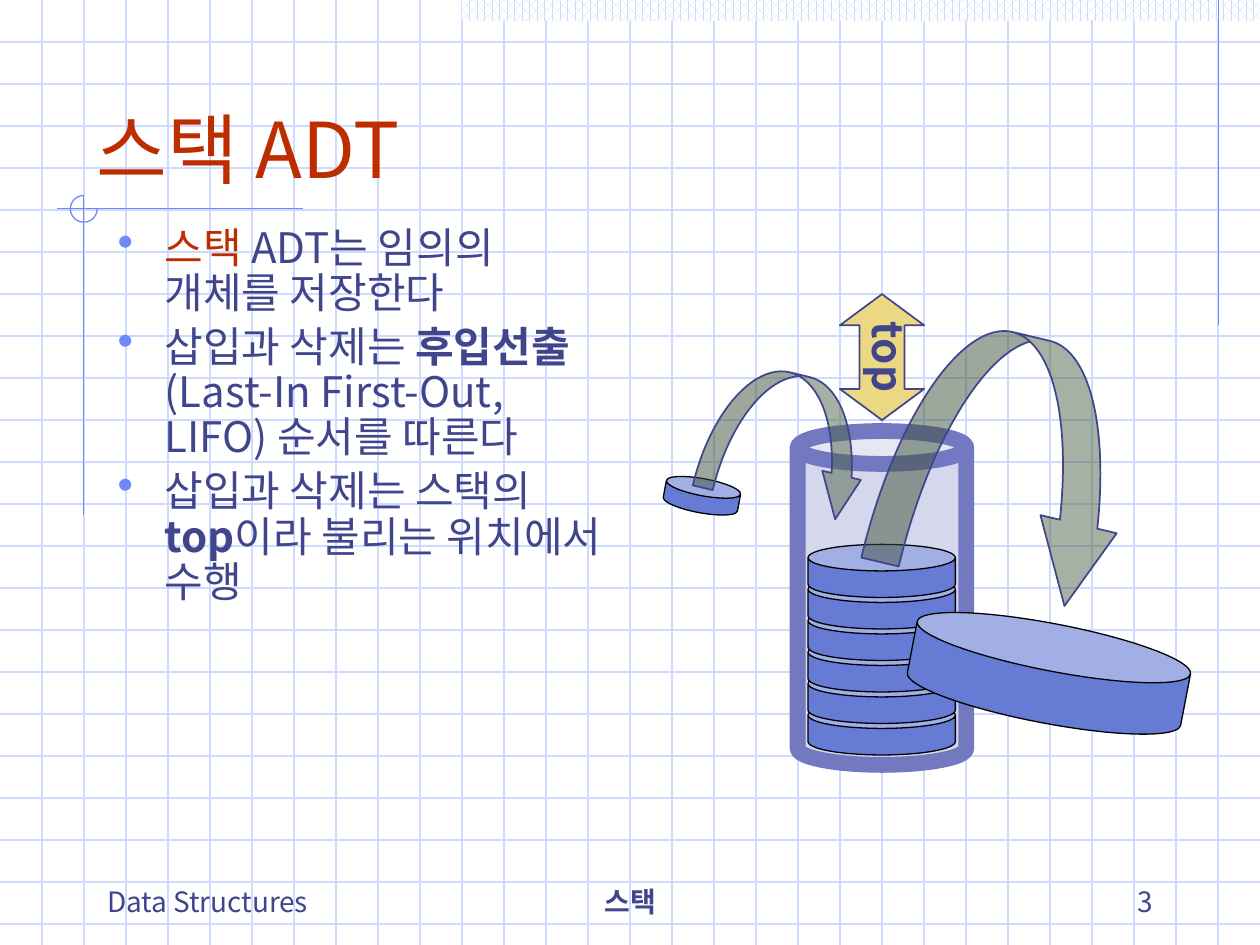
import dataclasses

import lxml.etree
import pptx
import pptx.dml.color
import pptx.enum.dml
import pptx.enum.shapes
import pptx.enum.text
import pptx.oxml.ns
import pptx.util

Cm, Pt = pptx.util.Cm, pptx.util.Pt
ALIGN = pptx.enum.text.PP_ALIGN
ANCHOR = pptx.enum.text.MSO_ANCHOR
SHAPE = pptx.enum.shapes.MSO_SHAPE


@dataclasses.dataclass(frozen=True)
class Theme:
    """Colours, type sizes and line widths of the deck."""
    font: str = "Noto Sans CJK KR"
    ink: str = "40458C"
    accent: str = "BE2D00"
    rule: str = "6F89F7"
    band: str = "CFDBFD"
    paper: str = "FFFFFF"
    disc: str = "657BD4"
    edge: str = "000000"
    glass: str = "D5D7EC"
    rim: str = "7379C1"
    move: str = "4E6549"
    pointer: str = "ECD882"
    title_size: int = 44
    body_size: int = 24
    footer_size: int = 16
    thin: float = 0.75
    medium: float = 1
    thick: float = 9


@dataclasses.dataclass(frozen=True)
class Box:
    """A rectangle in centimetres."""
    left: float
    top: float
    width: float
    height: float

    def inner(self, left, top, width, height):
        """Return a box placed relative to this one."""
        return Box(self.left + left, self.top + top, width, height)

    def lengths(self):
        """Return the four sides as slide lengths."""
        return [Cm(side) for side in dataclasses.astuple(self)]


THEME = Theme()


def colour(code):
    """Turn a hex code into a colour."""
    return pptx.dml.color.RGBColor.from_string(code)


def add_child(parent, tag, **attributes):
    """Append a drawing element to the parent."""
    return lxml.etree.SubElement(parent, pptx.oxml.ns.qn(tag), attributes)


def set_values(target, values):
    """Set each named attribute of the target."""
    for name, value in values.items():
        setattr(target, name, value)


def set_line(line, code, width):
    """Give an outline its colour and width in points."""
    line.color.rgb = colour(code)
    line.width = Pt(width)


def add_span(para, text, size, code=THEME.ink, bold=False):
    """Add a run of text to a paragraph."""
    span = para.add_run()
    span.text = text
    set_values(span.font, {"name": THEME.font, "size": Pt(size), "bold": bold})
    span.font.color.rgb = colour(code)
    add_child(span.font._element, "a:ea", typeface=THEME.font)


def add_text(page, box, **frame_values):
    """Add a wrapping text box and return its frame."""
    frame = page.shapes.add_textbox(*box.lengths()).text_frame
    set_values(frame, {"word_wrap": True, **frame_values})
    return frame


def add_figure(page, box, kind, fill, line, width=THEME.thin, turn=0, adjust=()):
    """Add a preset shape with a fill and an outline."""
    shape = page.shapes.add_shape(kind, *box.lengths())
    set_values(shape, {"rotation": turn})
    shape.shadow.inherit = False
    for index, value in enumerate(adjust):
        shape.adjustments[index] = value
    if fill:
        shape.fill.solid()
        shape.fill.fore_color.rgb = colour(fill)
    else:
        shape.fill.background()
    set_line(shape.line, line, width)
    return shape


def add_rule(page, box, start, end, code=THEME.rule):
    """Draw a thin straight line between two points in the box."""
    ends = [Cm(value) for value in (box.left + start[0], box.top + start[1],
                                    box.left + end[0], box.top + end[1])]
    rule = page.shapes.add_connector(pptx.enum.shapes.MSO_CONNECTOR.STRAIGHT, *ends)
    set_line(rule.line, code, THEME.thin)
    add_child(rule._element.spPr, "a:effectLst")


def add_grid(page, box):
    """Draw the pale grid with three lines to the inch."""
    step = 2.54 / 3
    for row in range(1, 23):
        add_rule(page, box, (0, row * step), (box.width, row * step), THEME.band)
    for column in range(1, 30):
        add_rule(page, box, (column * step, 0), (column * step, box.height), THEME.band)


def add_ornament(page, box):
    """Draw the top band, the rules and the open circle."""
    band = page.shapes.add_shape(SHAPE.RECTANGLE, *box.inner(9.31, 0, 16.09, 0.42).lengths())
    band.shadow.inherit = False
    band.fill.patterned()
    band.fill.pattern = pptx.enum.dml.MSO_PATTERN.PERCENT_60
    band.fill.fore_color.rgb = colour(THEME.band)
    band.fill.back_color.rgb = colour(THEME.paper)
    band.line.fill.background()
    for start, end in (((24.56, 0), (24.56, 6.56)), ((6.1, 4.21), (1.14, 4.21)),
                       ((1.69, 3.94), (1.69, 10.39))):
        add_rule(page, box, start, end)
    add_figure(page, box.inner(1.42, 3.94, 0.54, 0.54), SHAPE.ARC, None, THEME.rule, adjust=(0, 162))


def add_title(page, box):
    """Write the slide title."""
    frame = add_text(page, box, vertical_anchor=ANCHOR.BOTTOM)
    add_span(frame.paragraphs[0], "스택 ADT", THEME.title_size, THEME.accent)


def add_body(page, box):
    """Write the bulleted points."""
    points = (
        (("스택", THEME.accent, False), (" ADT는 임의의 개체를 저장한다", THEME.ink, False)),
        (("삽입과 삭제는 ", THEME.ink, False), ("후입선출", THEME.ink, True),
         ("(Last-In First-Out, LIFO) 순서를 따른다", THEME.ink, False)),
        (("삽입과 삭제는 스택의 ", THEME.ink, False), ("top", THEME.ink, True),
         ("이라 불리는 위치에서 수행", THEME.ink, False)),
    )
    frame = add_text(page, box)
    for index, spans in enumerate(points):
        para = frame.add_paragraph() if index else frame.paragraphs[0]
        set_values(para, {"line_spacing": 0.9, "space_before": Pt(0.2 * THEME.body_size)})
        properties = para._p.get_or_add_pPr()
        properties.set("marL", str(Cm(0.95)))
        properties.set("indent", str(-Cm(0.95)))
        add_child(add_child(properties, "a:buClr"), "a:srgbClr", val=THEME.rule)
        add_child(properties, "a:buSzPct", val="110000")
        add_child(properties, "a:buChar", char="•")
        for text, code, bold in spans:
            add_span(para, text, THEME.body_size, code, bold)


def add_footer(page, box):
    """Write the course, the topic and the page number."""
    for left, width, text, align, bold in ((0, 6.99, "Data Structures", ALIGN.LEFT, False),
                                           (6.78, 8.05, "스택", ALIGN.CENTER, True),
                                           (16.31, 5.28, "3", ALIGN.RIGHT, False)):
        frame = add_text(page, box.inner(left, 0, width, box.height), vertical_anchor=ANCHOR.BOTTOM)
        frame.paragraphs[0].alignment = align
        add_span(frame.paragraphs[0], text, THEME.footer_size, bold=bold)


def add_disc(page, box, turn=0, depth=0.5):
    """Draw one disc."""
    add_figure(page, box, SHAPE.CAN, THEME.disc, THEME.edge, turn=turn, adjust=(depth,))


def add_move(page, box, head):
    """Draw a half-transparent curved arrow."""
    arrow = add_figure(page, box, SHAPE.CURVED_DOWN_ARROW, THEME.move, THEME.ink,
                       THEME.medium, 13.4, (0.155, head, 0.334))
    shade = arrow._element.spPr.find(".//" + pptx.oxml.ns.qn("a:srgbClr"))
    add_child(shade, "a:alpha", val="50000")


def add_stack(page, box):
    """Draw the stack with a disc going in and one coming out."""
    add_disc(page, box.inner(0, 3.3, 1.52, 0.69), 10.5)
    add_figure(page, box.inner(2.69, 2.34, 3.4, 6.73), SHAPE.CAN, THEME.glass,
               THEME.rim, THEME.thick, adjust=(0.195,))
    for level in range(6):
        add_disc(page, box.inner(2.9, 7.8 - 2.54 / 4 * level, 2.97, 1.07))
    add_move(page, box.inner(0.84, 1.19, 3.35, 2.67), 0.299)
    add_disc(page, box.inner(4.95, 6.22, 5.61, 2.01), 10.9, 0.475)
    add_move(page, box.inner(4.5, 0.41, 5, 5.13), 0.316)
    pointer = add_figure(page, box.inner(3.12, 0.42, 2.54, 1.7), SHAPE.LEFT_RIGHT_ARROW,
                         THEME.pointer, THEME.ink, THEME.medium, 90, (0.535, 0.37))
    pointer.top = Cm(box.top + 0.42 - 0.42)
    frame = pointer.text_frame
    set_values(frame, {"word_wrap": False, "vertical_anchor": ANCHOR.MIDDLE,
                       "margin_top": 0, "margin_bottom": Cm(0.3)})
    frame.paragraphs[0].alignment = ALIGN.CENTER
    add_span(frame.paragraphs[0], "top", THEME.body_size, bold=True)


def main():
    """Build the deck and save it."""
    deck = pptx.Presentation()
    set_values(deck, {"slide_width": Cm(25.4), "slide_height": Cm(19.05)})
    page = deck.slides.add_slide(deck.slide_layouts[6])
    whole = Box(0, 0, 25.4, 19.05)
    add_grid(page, whole)
    add_ornament(page, whole)
    add_title(page, Box(1.69, 0.85, 21.59, 3.18))
    add_body(page, Box(2.12, 4.45, 10.37, 12.49))
    add_footer(page, Box(1.91, 17.36, 21.59, 1.27))
    add_stack(page, Box(13.39, 6.35, 10.57, 9.07))
    deck.save("out.pptx")


if __name__ == "__main__":
    main()
